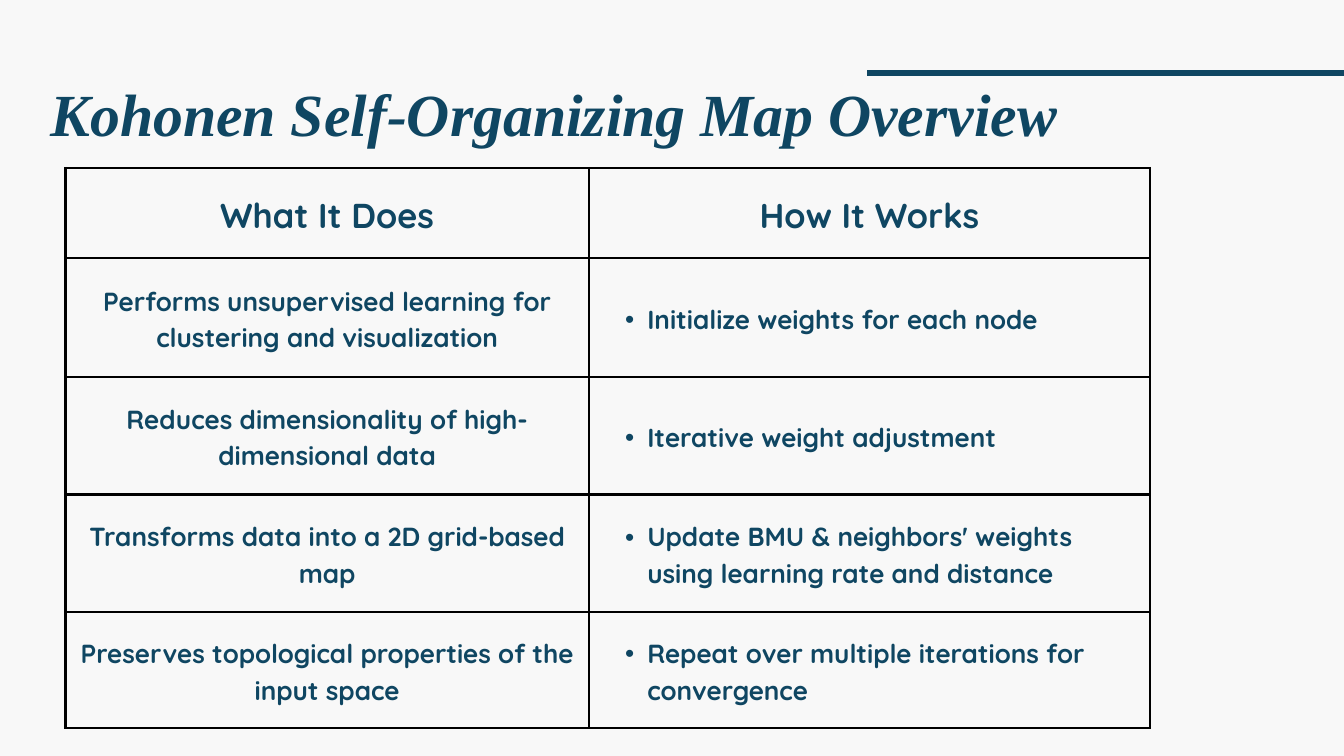
import pptx
import pptx.dml.color
import pptx.enum.shapes
import pptx.enum.text
import pptx.oxml
import pptx.oxml.ns
import pptx.util
from lxml import etree

Pt = pptx.util.Pt
ALIGN = pptx.enum.text.PP_ALIGN
ANCHOR = pptx.enum.text.MSO_ANCHOR
qn = pptx.oxml.ns.qn

COLORS = {"paper": "F8F8F8", "navy": "0F4662", "grid": "000000"}
HEADING_FONT = "Times New Roman"
TABLE_FONT = "Quicksand"
LINE_FACTOR = 1.4

COLUMN_WIDTHS = [561, 601]
ROW_HEIGHTS = [96.5, 127.5, 126, 126, 124]
ROWS = [
    ("What It Does", "How It Works"),
    ("Performs unsupervised learning for clustering and visualization",
     "Initialize weights for each node"),
    ("Reduces dimensionality of high-dimensional data",
     "Iterative weight adjustment"),
    ("Transforms data into a 2D grid-based map",
     "Update BMU & neighbors' weights using learning rate and distance"),
    ("Preserves topological properties of the input space",
     "Repeat over multiple iterations for convergence"),
]


def color(name):
    return pptx.dml.color.RGBColor.from_string(COLORS[name])


class PageBuilder:
    def __init__(self, deck):
        self.page = deck.slides.add_slide(deck.slide_layouts[5])
        background = self.page.background.fill
        background.solid()
        background.fore_color.rgb = color("paper")

    def span(self, para, text, font, size, italic=False):
        para.line_spacing = Pt(size * LINE_FACTOR)
        span = para.add_run()
        span.text = text
        span.font.name = font
        span.font.size = Pt(size)
        span.font.bold = True
        span.font.italic = italic
        span.font.color.rgb = color("navy")

    def title(self, text, left, top, width, height):
        box = self.page.shapes.title
        box.left, box.top, box.width, box.height = map(Pt, (left, top, width, height))
        frame = box.text_frame
        frame.margin_left = frame.margin_right = frame.margin_top = frame.margin_bottom = 0
        frame.vertical_anchor = ANCHOR.TOP
        frame.word_wrap = True
        frame.auto_size = pptx.enum.text.MSO_AUTO_SIZE.SHAPE_TO_FIT_TEXT
        para = frame.paragraphs[0]
        para.alignment = ALIGN.LEFT
        self.span(para, text, HEADING_FONT, 64, italic=True)

    def rule(self, left, right, y, weight):
        line = self.page.shapes.add_connector(
            pptx.enum.shapes.MSO_CONNECTOR.STRAIGHT, Pt(left), Pt(y), Pt(right), Pt(y))
        line.line.color.rgb = color("navy")
        line.line.width = Pt(weight)
        etree.SubElement(line._element.spPr, qn("a:effectLst"))

    def borders(self, cell, weight):
        properties = cell._tc.get_or_add_tcPr()
        for side in ("a:lnL", "a:lnR", "a:lnT", "a:lnB"):
            edge = etree.SubElement(properties, qn(side), w=str(Pt(weight)))
            fill = etree.SubElement(edge, qn("a:solidFill"))
            etree.SubElement(fill, qn("a:srgbClr"), val=COLORS["grid"])

    def bullet(self, para, indent, hanging):
        para.level = 1
        properties = para._p.get_or_add_pPr()
        properties.set("marL", str(Pt(indent)))
        properties.set("indent", str(-Pt(hanging)))
        etree.SubElement(properties, qn("a:buFont"), typeface="Arial")
        etree.SubElement(properties, qn("a:buChar"), char="•")

    def cell(self, cell, text, size, bulleted):
        self.borders(cell, 3)
        cell.fill.background()
        cell.margin_left = cell.margin_right = cell.margin_top = cell.margin_bottom = Pt(15)
        cell.vertical_anchor = ANCHOR.MIDDLE
        para = cell.text_frame.paragraphs[0]
        if bulleted:
            self.bullet(para, 47.6, 23.8)
            para.alignment = ALIGN.LEFT
        else:
            para.alignment = ALIGN.CENTER
        self.span(para, text, TABLE_FONT, size)

    def table(self, rows, left, top, widths, heights):
        table = self.page.shapes.add_table(
            len(rows), len(widths), Pt(left), Pt(top),
            Pt(sum(widths)), Pt(sum(heights))).table
        table.horz_banding = False
        table.first_row = False
        for column, width in zip(table.columns, widths):
            column.width = Pt(width)
        for row, height in zip(table.rows, heights):
            row.height = Pt(height)
        for r, texts in enumerate(rows):
            for c, text in enumerate(texts):
                size = 37 if r == 0 else 28
                self.cell(table.cell(r, c), text, size, bulleted=r > 0 and c == 1)


def main():
    deck = pptx.Presentation()
    deck.slide_width, deck.slide_height = Pt(1440), Pt(810)
    builder = PageBuilder(deck)

    # Accent line running to the right edge
    builder.rule(929, 1440, 78, 6)

    # Comparison table
    builder.table(ROWS, 70, 180, COLUMN_WIDTHS, ROW_HEIGHTS)

    # Heading
    builder.title("Kohonen Self-Organizing Map Overview", 54, 69, 1154, 86)

    deck.save("out.pptx")


if __name__ == "__main__":
    main()
